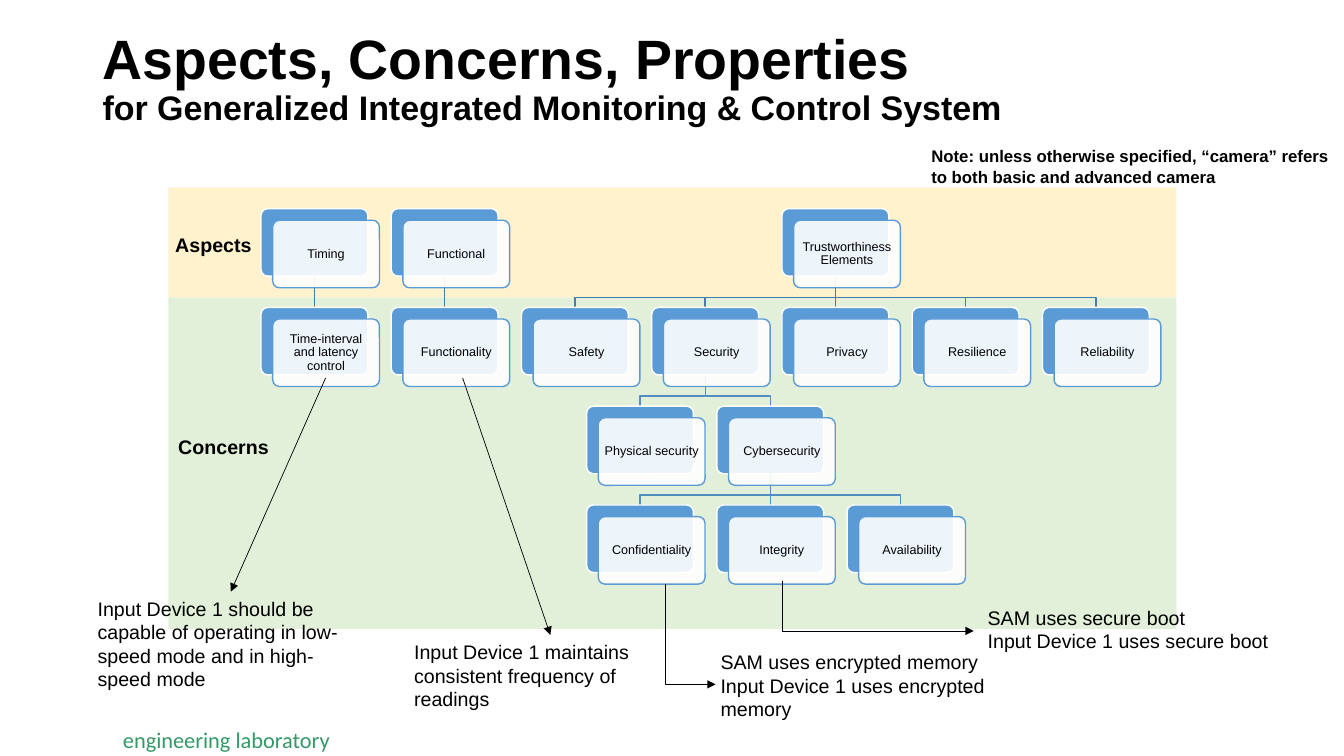
from lxml import etree
from pptx import Presentation
from pptx.dml.color import RGBColor
from pptx.enum.shapes import MSO_CONNECTOR as CONN, MSO_SHAPE as SHAPE
from pptx.enum.text import MSO_ANCHOR as ANCHOR, MSO_AUTO_SIZE as FIT, PP_ALIGN as ALIGN
from pptx.oxml.ns import qn
from pptx.util import Inches, Pt

# Content: (text, column, row, parent)
NODES = [
    ("Timing", 0, 0, None),
    ("Functional", 1, 0, None),
    ("Trustworthiness Elements", 4, 0, None),
    ("Time-interval and latency control", 0, 1, "Timing"),
    ("Functionality", 1, 1, "Functional"),
    ("Safety", 2, 1, "Trustworthiness Elements"),
    ("Security", 3, 1, "Trustworthiness Elements"),
    ("Privacy", 4, 1, "Trustworthiness Elements"),
    ("Resilience", 5, 1, "Trustworthiness Elements"),
    ("Reliability", 6, 1, "Trustworthiness Elements"),
    ("Physical security", 2.5, 2, "Security"),
    ("Cybersecurity", 3.5, 2, "Security"),
    ("Confidentiality", 2.5, 3, "Cybersecurity"),
    ("Integrity", 3.5, 3, "Cybersecurity"),
    ("Availability", 4.5, 3, "Cybersecurity"),
]
BANDS = [("E2F0D9", 2.95, 3.29), ("FFF2CC", 1.86, 1.09)]  # colour, top, height
TITLE = [("Aspects, Concerns, Properties", 39.6),
         ("for Generalized Integrated Monitoring & Control System", 24.3)]
# Lines, box, size, bold, wrap
TEXTS = [
    (["Aspects"], (1.64, 2.26, 0.96, 0.34), 14, True, False),
    (["Concerns"], (1.67, 4.27, 1.1, 0.34), 14, True, False),
    (["Input Device 1 maintains consistent frequency of readings"],
     (4.01, 6.3, 2.9, 0.81), 14, False, True),
    (["SAM uses secure boot", "Input Device 1 uses secure boot"],
     (9.7, 5.96, 3.43, 0.57), 14, False, True),
    (["Input Device 1 should be capable of operating in low-speed mode and in high-speed mode"],
     (0.87, 5.87, 2.83, 1.04), 14, False, True),
    (["SAM uses encrypted memory", "Input Device 1 uses encrypted memory"],
     (7.05, 6.4, 3.4, 0.81), 14, False, True),
    (["Note: unless otherwise specified, “camera” refers",
      "to both basic and advanced camera"], (9.14, 1.4, 4.15, 0.51), 12, True, True),
]
# From, to, bent
ARROWS = [
    ((4.59, 3.75), (5.46, 6.3), False),
    ((3.23, 3.75), (2.29, 5.87), False),
    ((7.76, 5.76), (9.66, 6.26), True),
    ((6.6, 5.79), (7.1, 6.79), True),
]
LEFT, TOP, COL_STEP, ROW_STEP = 2.59, 2.07, 1.292, 0.98
CARD_W, CARD_H, OFFSET, BEND = 1.06, 0.67, 0.115, 0.21

prs = Presentation()
prs.slide_width, prs.slide_height = Inches(13.333), Inches(7.5)
s = prs.slides.add_slide(prs.slide_layouts[6])


def rgb(value):
    return RGBColor.from_string(value)


def set_font(p, size, color="000000", bold=False, name="Arial"):
    p.font.name, p.font.size, p.font.bold = name, Pt(size), bold
    p.font.color.rgb = rgb(color)


def set_insets(tf, inset):
    tf.margin_left = tf.margin_right = tf.margin_top = tf.margin_bottom = Inches(inset)


def add_box(kind, box, fill, line=None):
    sp = s.shapes.add_shape(kind, *map(Inches, box))
    sp.shadow.inherit = False
    sp.fill.solid()
    sp.fill.fore_color.rgb = rgb(fill)
    if line:
        sp.line.color.rgb, sp.line.width = rgb(line), Pt(1)
        sp.adjustments[0] = 0.1
    else:
        sp.line.fill.background()
    return sp


def add_text(lines, box, size, bold=False, wrap=True, color="000000", name="Arial"):
    tf = s.shapes.add_textbox(*map(Inches, box)).text_frame
    tf.word_wrap, tf.auto_size = wrap, FIT.SHAPE_TO_FIT_TEXT
    tf.text = "\n".join(lines)
    for p in tf.paragraphs:
        set_font(p, size, color, bold, name)
    return tf


def add_line(start, end, color, width):
    c = s.shapes.add_connector(CONN.STRAIGHT, *map(Inches, start + end))
    c.line.color.rgb, c.line.width = rgb(color), Pt(width)
    etree.SubElement(c._element.spPr, qn("a:effectLst"))
    return c


def add_link(parent, child, color):
    (x1, y1), (x2, y2) = parent, child
    x1, x2, y1 = x1 + CARD_W / 2, x2 + CARD_W / 2, y1 + CARD_H
    if x1 == x2:
        add_line((x1, y1), (x2, y2), color, 1)
        return
    fb = s.shapes.build_freeform(Inches(x1), Inches(y1))
    bends = [(x1, y1 + BEND), (x2, y1 + BEND), (x2, y2)]
    fb.add_line_segments([(Inches(x), Inches(y)) for x, y in bends], close=False)
    sp = fb.convert_to_shape()
    sp.shadow.inherit = False
    sp.fill.background()
    sp.line.color.rgb, sp.line.width = rgb(color), Pt(1)


def add_card(text, x, y):
    add_box(SHAPE.ROUNDED_RECTANGLE, (x, y, CARD_W, CARD_H), "5B9BD5", "FFFFFF")
    front = add_box(SHAPE.ROUNDED_RECTANGLE, (x + OFFSET, y + OFFSET, CARD_W, CARD_H),
                    "FFFFFF", "5B9BD5")
    white = front._element.spPr.find(qn("a:solidFill"))[0]
    etree.SubElement(white, qn("a:alpha"), val="90000")
    tf = front.text_frame
    tf.word_wrap, tf.vertical_anchor = True, ANCHOR.MIDDLE
    set_insets(tf, 0.04)
    p = tf.paragraphs[0]
    p.text, p.alignment, p.line_spacing = text, ALIGN.CENTER, 0.9
    set_font(p, 9)


def add_arrow(start, end, bent):
    c = add_line(start, end, "000000", 0.5)
    etree.SubElement(c.line._get_or_add_ln(), qn("a:tailEnd"), type="triangle")
    if bent:  # down, then right: a turned and mirrored elbow
        (x1, y1), (x2, y2) = start, end
        w, h = y2 - y1, x2 - x1
        c.left, c.top = Inches((x1 + x2 - w) / 2), Inches((y1 + y2 - h) / 2)
        c.width, c.height = Inches(w), Inches(h)
        xfrm = c._element.spPr.find(qn("a:xfrm"))
        xfrm.set("rot", "16200000")
        xfrm.set("flipH", "1")
        c._element.spPr.find(qn("a:prstGeom")).set("prst", "bentConnector2")


# Footer and bands
footer = add_text(["engineering laboratory"], (1.22, 7.2, 2.08, 0.27), 16,
                  wrap=False, color="339966", name="Calibri")
set_insets(footer, 0)
for fill, top, height in BANDS:
    add_box(SHAPE.RECTANGLE, (1.67, top, 10, height), fill)

# Tree: links behind cards
places = {text: (LEFT + col * COL_STEP, TOP + row * ROW_STEP) for text, col, row, _ in NODES}
for text, _, row, parent in NODES:
    if parent:
        add_link(places[parent], places[text], "497CAB" if row == 1 else "538DC1")
for text, place in places.items():
    add_card(text, *place)

# Title
tf = s.shapes.add_textbox(*map(Inches, (0.92, 0.4, 11.5, 0.78))).text_frame
tf.word_wrap, tf.vertical_anchor = True, ANCHOR.MIDDLE
p = tf.paragraphs[0]
p.line_spacing = 0.9
set_font(p, TITLE[0][1], bold=True)
for i, (text, size) in enumerate(TITLE):
    if i:
        p.add_line_break()
    r = p.add_run()
    r.text, r.font.size = text, Pt(size)

# Labels, notes and arrows
for item in TEXTS:
    add_text(*item)
for arrow in ARROWS:
    add_arrow(*arrow)

prs.save("out.pptx")
